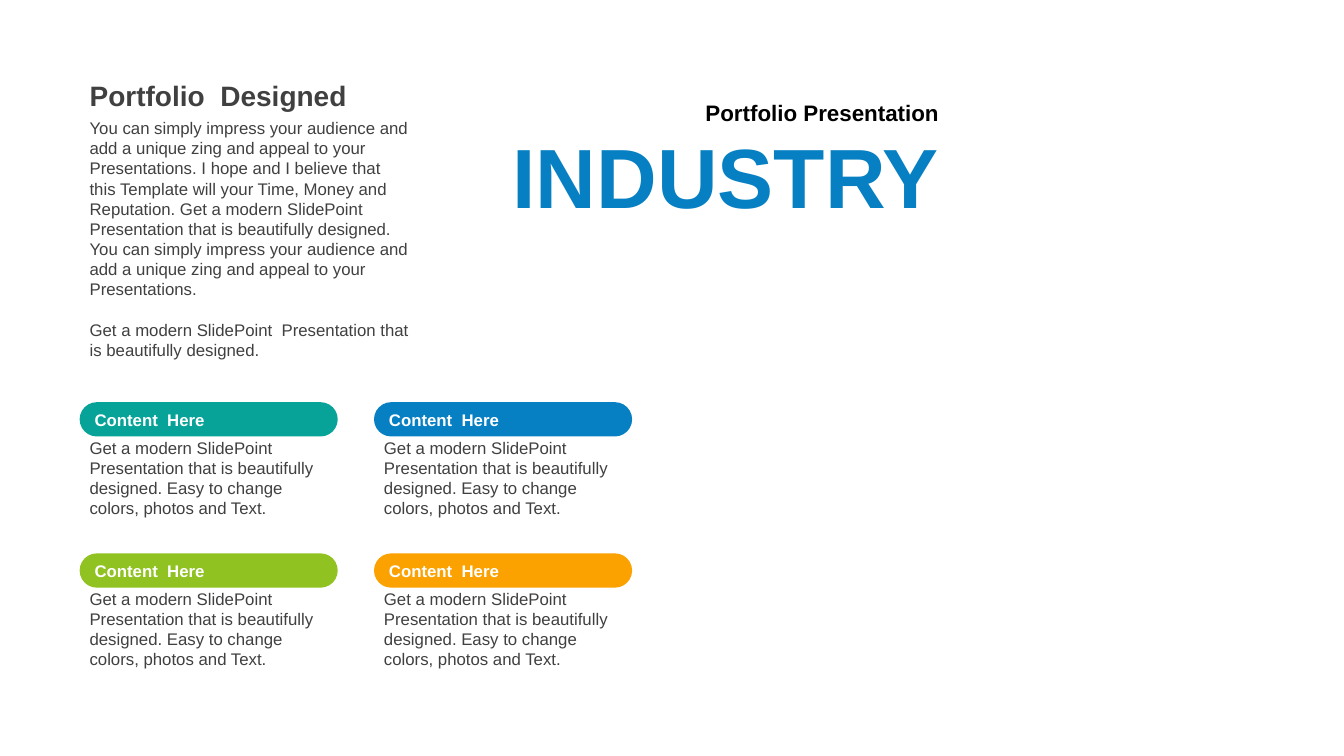
from pptx import Presentation
from pptx.util import Inches, Pt
from pptx.dml.color import RGBColor
from pptx.enum.shapes import MSO_SHAPE
from pptx.enum.text import MSO_ANCHOR, PP_ALIGN

GREY, BLUE, WHITE = "404040", "0680C3", "FFFFFF"
PITCH = "Get a modern SlidePoint  Presentation that is beautifully designed."
IMPRESS = ("You can simply impress your audience and add a unique zing "
           "and appeal to your Presentations.")
INTRO = [
    f"{IMPRESS} I hope and I believe that this Template will your Time, "
    f"Money and Reputation. {PITCH} {IMPRESS}",
    PITCH,
]
DETAIL = f"{PITCH} Easy to change colors, photos and Text."
TITLES = [
    ("Portfolio Presentation", (6.02, 0.9, 3.39, 0.43), 16, "000000", PP_ALIGN.RIGHT, 1.0),
    ("INDUSTRY", (4.74, 1.23, 4.67, 0.91), 60, BLUE, PP_ALIGN.RIGHT, 1.1),
    ("Portfolio  Designed", (0.79, 0.73, 3.39, 0.39), 20, GREY, PP_ALIGN.LEFT, 1.1),
]
CARDS = ["07A398", BLUE, "90C221", "FBA200"]
LEFT, TOP = 0.79, 3.99
STEP_X, STEP_Y = 2.92, 1.5
WIDE, PILL, DROP, BODY = 2.56, 0.34, 0.3, 0.91
GAP = 14.4

deck = Presentation()
deck.slide_width, deck.slide_height = Inches(13.33), Inches(7.5)
slide = deck.slides.add_slide(deck.slide_layouts[6])


def color(code):
    return RGBColor.from_string(code)


def write(shape, lines, size, code, bold=False, align=PP_ALIGN.LEFT,
          anchor=MSO_ANCHOR.TOP, before=0, gap=0, pace=None):
    frame = shape.text_frame
    frame.word_wrap = True
    frame.vertical_anchor = anchor
    for i, line in enumerate(lines):
        para = frame.add_paragraph() if i else frame.paragraphs[0]
        para.alignment = align
        para.space_before = Pt(gap if i else before)
        para.line_spacing = pace
        run = para.add_run()
        run.text = line
        font = run.font
        font.name, font.size, font.bold = "Arial", Pt(size), bold
        font.color.rgb = color(code)


def add_box(*area):
    return slide.shapes.add_textbox(*map(Inches, area))


def add_pill(fill, *area):
    pill = slide.shapes.add_shape(MSO_SHAPE.ROUNDED_RECTANGLE, *map(Inches, area))
    pill.adjustments[0] = 0.5
    pill.shadow.inherit = False
    pill.fill.solid()
    pill.fill.fore_color.rgb = color(fill)
    pill.line.fill.background()
    return pill


for text, area, size, code, align, pace in TITLES:
    write(add_box(*area), [text], size, code, True, align,
          MSO_ANCHOR.MIDDLE, before=size * 0.2, pace=pace)

write(add_box(LEFT, 1.12, 3.39, 2.52), INTRO, 12, GREY, gap=GAP)

for i, fill in enumerate(CARDS):
    row, col = divmod(i, 2)
    x, y = LEFT + col * STEP_X, TOP + row * STEP_Y
    write(add_pill(fill, x, y, WIDE, PILL), ["Content  Here"], 12, WHITE,
          True, anchor=MSO_ANCHOR.MIDDLE)
    write(add_box(x, y + DROP, WIDE, BODY), [DETAIL], 12, GREY)

deck.save("out.pptx")
